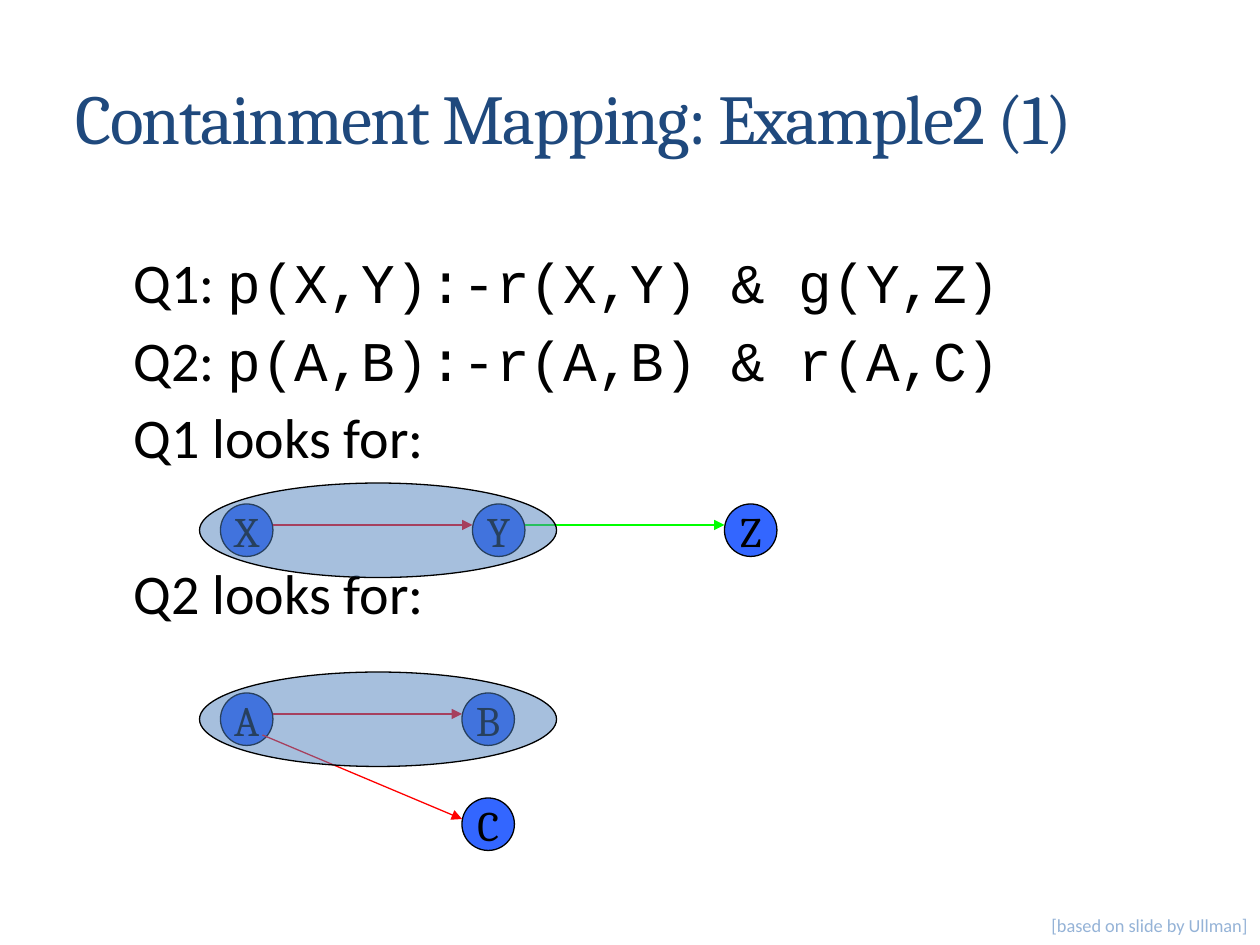
"""Builds the slide on a containment mapping between two queries."""
from lxml import etree
from pptx import Presentation
from pptx.dml.color import RGBColor
from pptx.enum.shapes import MSO_CONNECTOR, MSO_SHAPE
from pptx.enum.text import MSO_ANCHOR, MSO_AUTO_SIZE, PP_ALIGN
from pptx.oxml import parse_xml
from pptx.oxml.ns import nsdecls, qn
from pptx.util import Inches, Pt

NAVY = RGBColor(0x1F, 0x49, 0x7D)
BLACK = RGBColor(0, 0, 0)
NODE_BLUE = RGBColor(0x33, 0x66, 0xFF)
HALO_BLUE = RGBColor(0x4F, 0x81, 0xBD)
PALE_BLUE = RGBColor(0x95, 0xB3, 0xD7)
RED = RGBColor(0xFF, 0, 0)
GREEN = RGBColor(0, 0xFF, 0)
HEADING, BODY, CODE = "Cambria", "Calibri", "Courier New"
COLUMNS, ROWS = 120, 90
NODE = 5


class Board:
    def __init__(self):
        self.deck = Presentation()
        self.deck.slide_width, self.deck.slide_height = Inches(10), Inches(7.5)
        self.slide = self.deck.slides.add_slide(self.deck.slide_layouts[5])

    def grid(self, *cells):
        units = (self.deck.slide_width // COLUMNS, self.deck.slide_height // ROWS)
        return [round(cell * units[i % 2]) for i, cell in enumerate(cells)]

    def run(self, paragraph, text, size, font, color):
        run = paragraph.add_run()
        run.text = text
        run.font.size, run.font.name = Pt(size), font
        run.font.color.rgb = color
        return run

    def title(self, text, *box):
        title = self.slide.shapes.title
        title.left, title.top, title.width, title.height = self.grid(*box)
        title.text_frame.vertical_anchor = MSO_ANCHOR.MIDDLE
        paragraph = title.text_frame.paragraphs[0]
        paragraph.alignment = PP_ALIGN.LEFT
        props = self.run(paragraph, text, 40, HEADING, NAVY).font._element
        props.set("spc", "-100")
        props.find(qn("a:solidFill")).addnext(parse_xml(
            f'<a:effectLst {nsdecls("a")}><a:outerShdw blurRad="50800" dist="38100" '
            'dir="2700000" algn="tl"><a:srgbClr val="000000"><a:alpha val="40000"/>'
            '</a:srgbClr></a:outerShdw></a:effectLst>'))

    def queries(self, lines, *box):
        frame = self.slide.shapes.add_textbox(*self.grid(*box)).text_frame
        frame.word_wrap = True
        for index, (label, code, gap) in enumerate(lines):
            paragraph = frame.add_paragraph() if index else frame.paragraphs[0]
            paragraph.space_before = Pt(gap)
            props = paragraph._p.get_or_add_pPr()
            props.set("marL", str(Inches(0.38)))
            props.set("indent", str(Inches(-0.25)))
            self.run(paragraph, label, 32, BODY, BLACK)
            if code:
                self.run(paragraph, code, 32, CODE, BLACK)

    def ellipse(self, color, *box):
        shape = self.slide.shapes.add_shape(MSO_SHAPE.OVAL, *self.grid(*box))
        shape.shadow.inherit = False
        shape.fill.solid()
        shape.fill.fore_color.rgb = color
        shape.line.color.rgb, shape.line.width = BLACK, Pt(0.75)
        return shape

    def node(self, name, column, row):
        frame = self.ellipse(NODE_BLUE, column, row, NODE, NODE).text_frame
        frame.word_wrap = False
        frame.vertical_anchor = MSO_ANCHOR.MIDDLE
        frame.paragraphs[0].alignment = PP_ALIGN.CENTER
        self.run(frame.paragraphs[0], name, 24, HEADING, BLACK)

    def halo(self, *box):
        fill = self.ellipse(HALO_BLUE, *box)._element.spPr.find(qn("a:solidFill"))
        etree.SubElement(fill[0], qn("a:alpha"), val="50000")

    def arrow(self, color, *ends):
        line = self.slide.shapes.add_connector(MSO_CONNECTOR.STRAIGHT, *self.grid(*ends))
        line.line.color.rgb, line.line.width = color, Pt(0.75)
        etree.SubElement(line.line._get_or_add_ln(), qn("a:tailEnd"), type="triangle")
        etree.SubElement(line._element.spPr, qn("a:effectLst"))

    def credit(self, text, *box):
        frame = self.slide.shapes.add_textbox(*self.grid(*box)).text_frame
        frame.word_wrap = False
        frame.auto_size = MSO_AUTO_SIZE.SHAPE_TO_FIT_TEXT
        frame.paragraphs[0].alignment = PP_ALIGN.RIGHT
        self.run(frame.paragraphs[0], text, 10.5, BODY, PALE_BLUE)


board = Board()
board.title("Containment Mapping: Example2 (1)", 6, 3.6, 108, 15)
board.queries([
    ("Q1: ", "p(X,Y):-r(X,Y) & g(Y,Z)", 5.8),
    ("Q2: ", "p(A,B):-r(A,B) & r(A,C)", 5.8),
    ("Q1 looks for:", "", 5.8),
    ("Q2 looks for:", "", 50.7),
], 10, 23, 103, 54)
for name, column, row in [("X", 21, 48), ("Y", 45, 48), ("Z", 69, 48),
                          ("A", 21, 66), ("B", 44, 66), ("C", 44, 76)]:
    board.node(name, column, row)
for color, *ends in [(RED, 26, 50, 45, 50), (GREEN, 50, 50, 69, 50),
                     (RED, 26, 68, 44, 68), (RED, 25, 70, 44, 78)]:
    board.arrow(color, *ends)
for row in (46, 64):
    board.halo(19, row, 34, 9)
board.credit("[based on slide by Ullman]", 98.5, 86.5, 21.5, 3.4)
board.deck.save("out.pptx")
